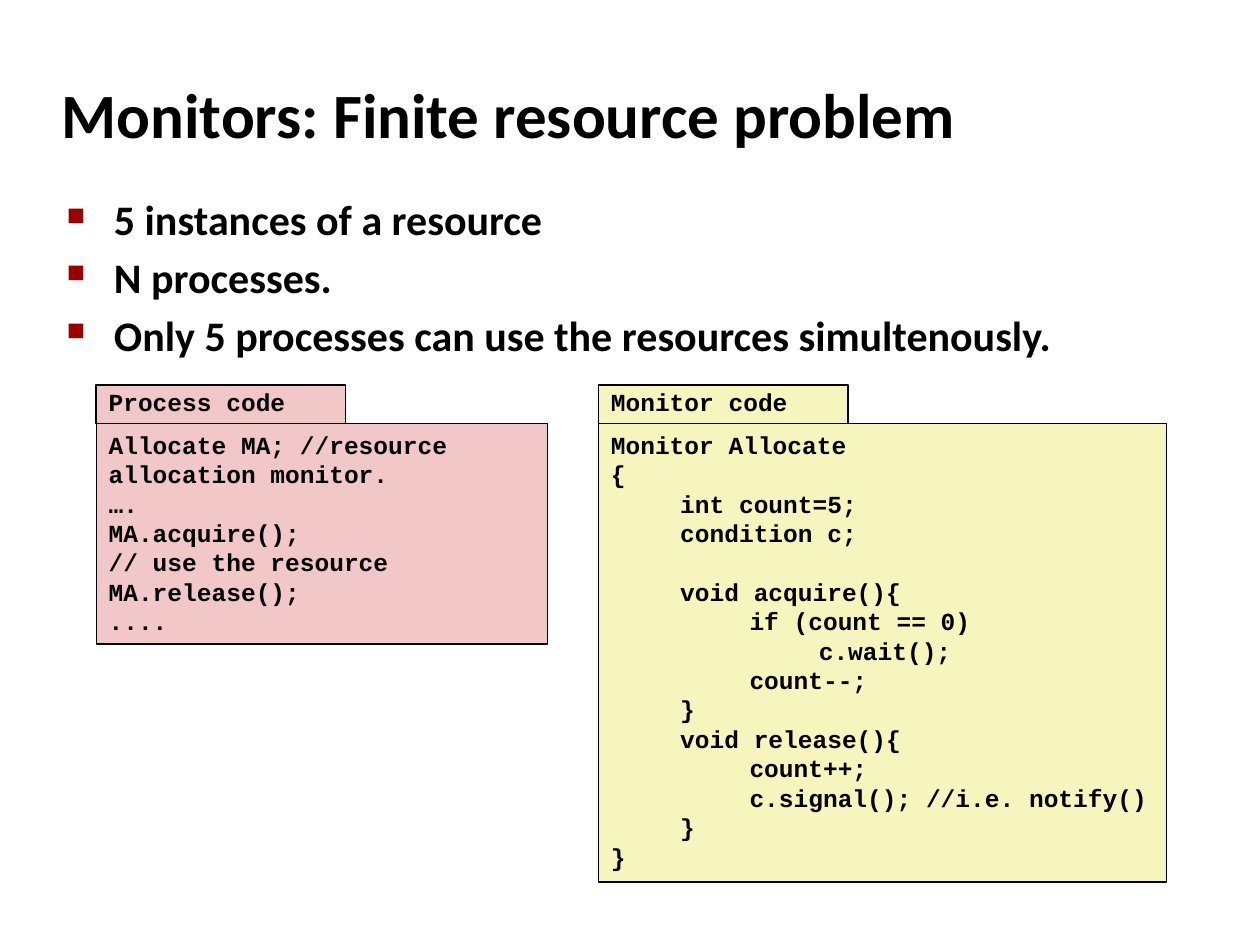
from dataclasses import dataclass

from lxml.etree import SubElement
from pptx import Presentation
from pptx.dml.color import RGBColor
from pptx.enum.shapes import MSO_SHAPE
from pptx.enum.text import MSO_ANCHOR, MSO_AUTO_SIZE, PP_ALIGN
from pptx.oxml.ns import qn
from pptx.util import Pt


@dataclass(frozen=True)
class Theme:
    ink: str = "000000"
    bullet: str = "990000"
    pink: str = "F1C7C7"
    yellow: str = "F6F5BD"
    prose: str = "Calibri"
    code: str = "Courier New"
    title_size: int = 36
    body_size: int = 24
    code_size: int = 14


class SlideBuilder:
    TAB_WIDTH = 142.5
    TAB_HEIGHT = 21.8
    CODE_INDENT = 39.6
    CODE_LINE = 16.8

    def __init__(self, slide, theme):
        self.slide = slide
        self.theme = theme

    def format_frame(self, frame, anchor=MSO_ANCHOR.TOP):
        settings = {
            "word_wrap": True, "auto_size": MSO_AUTO_SIZE.NONE,
            "vertical_anchor": anchor,
            "margin_left": Pt(7.2), "margin_right": Pt(7.2),
            "margin_top": Pt(3.6), "margin_bottom": Pt(3.6),
        }
        for name, value in settings.items():
            setattr(frame, name, value)

    def set_text(self, paragraph, text, font, size, **spacing):
        run = paragraph.add_run()
        run.text = text
        for name, value in {"name": font, "size": Pt(size), "bold": True}.items():
            setattr(run.font, name, value)
        run.font.color.rgb = RGBColor.from_string(self.theme.ink)
        for name, value in {"alignment": PP_ALIGN.LEFT, **spacing}.items():
            setattr(paragraph, name, value)

    def paragraphs(self, frame, count):
        return [frame.paragraphs[0]] + [frame.add_paragraph() for _ in range(count - 1)]

    def title(self, text, left, top, width, height):
        heading = self.slide.shapes.title
        box = {"left": left, "top": top, "width": width, "height": height}
        for name, value in box.items():
            setattr(heading, name, Pt(value))
        self.format_frame(heading.text_frame, MSO_ANCHOR.MIDDLE)
        self.set_text(heading.text_frame.paragraphs[0], text,
                      self.theme.prose, self.theme.title_size)

    def bullets(self, items, *box):
        frame = self.slide.shapes.add_textbox(*map(Pt, box)).text_frame
        self.format_frame(frame)
        for paragraph, item in zip(self.paragraphs(frame, len(items)), items):
            self.set_text(paragraph, item, self.theme.prose, self.theme.body_size,
                          space_before=Pt(4.2))
            properties = paragraph._p.get_or_add_pPr()
            properties.set("marL", str(Pt(27)))
            properties.set("indent", str(-Pt(27)))
            color = SubElement(properties, qn("a:buClr"))
            SubElement(color, qn("a:srgbClr"), val=self.theme.bullet)
            SubElement(properties, qn("a:buSzPct"), val="60000")
            SubElement(properties, qn("a:buChar"), char="■")

    def panel(self, fill, line_width, anchor, *box):
        shape = self.slide.shapes.add_shape(MSO_SHAPE.RECTANGLE, *map(Pt, box))
        shape.shadow.inherit = False
        shape.fill.solid()
        shape.fill.fore_color.rgb = RGBColor.from_string(fill)
        shape.line.color.rgb = RGBColor.from_string(self.theme.ink)
        shape.line.width = Pt(line_width)
        self.format_frame(shape.text_frame, anchor)
        return shape.text_frame

    def listing(self, heading, lines, fill, left, top, width, height):
        """Code box with a heading tab; lines are (indent level, text, blank lines above)."""
        font, size = self.theme.code, self.theme.code_size
        body = self.panel(fill, 0.75, MSO_ANCHOR.TOP,
                          left, top + self.TAB_HEIGHT, width, height)
        for paragraph, (level, text, gap) in zip(self.paragraphs(body, len(lines)), lines):
            self.set_text(paragraph, text, font, size, space_before=Pt(gap * self.CODE_LINE))
            paragraph._p.get_or_add_pPr().set("marL", str(Pt(level * self.CODE_INDENT)))
        tab = self.panel(fill, 1, MSO_ANCHOR.MIDDLE,
                         left, top, self.TAB_WIDTH, self.TAB_HEIGHT)
        self.set_text(tab.paragraphs[0], heading, font, size,
                      line_spacing=0.8, space_before=Pt(6.8))


PROCESS_CODE = [
    (0, "Allocate MA; //resource allocation monitor.", 0),
    (0, "….", 0),
    (0, "MA.acquire();", 0),
    (0, "// use the resource", 0),
    (0, "MA.release();", 0),
    (0, "....", 0),
]
MONITOR_CODE = [
    (0, "Monitor Allocate", 0),
    (0, "{", 0),
    (1, "int count=5;", 0),
    (1, "condition c;", 0),
    (1, "void acquire(){", 1),
    (2, "if (count == 0)", 0),
    (3, "c.wait();", 0),
    (2, "count--;", 0),
    (1, "}", 0),
    (1, "void release(){", 0),
    (2, "count++;", 0),
    (2, "c.signal(); //i.e. notify()", 0),
    (1, "}", 0),
    (0, "}", 0),
]


def main():
    presentation = Presentation()
    presentation.slide_width, presentation.slide_height = Pt(720), Pt(540)
    theme = Theme()
    title_only = presentation.slide_layouts[5]
    builder = SlideBuilder(presentation.slides.add_slide(title_only), theme)

    # Title and the problem statement
    builder.title("Monitors: Finite resource problem", 28.1, 34.6, 597.6, 59.8)
    builder.bullets([
        "5 instances of a resource",
        "N processes.",
        "Only 5 processes can use the resources simultenously.",
    ], 31, 107.3, 622, 113)

    # Process and monitor code side by side
    builder.listing("Process code", PROCESS_CODE, theme.pink, 55, 220.2, 257.8, 126)
    builder.listing("Monitor code", MONITOR_CODE, theme.yellow, 342, 220.2, 324.7, 262)

    presentation.save("out.pptx")


if __name__ == "__main__":
    main()
